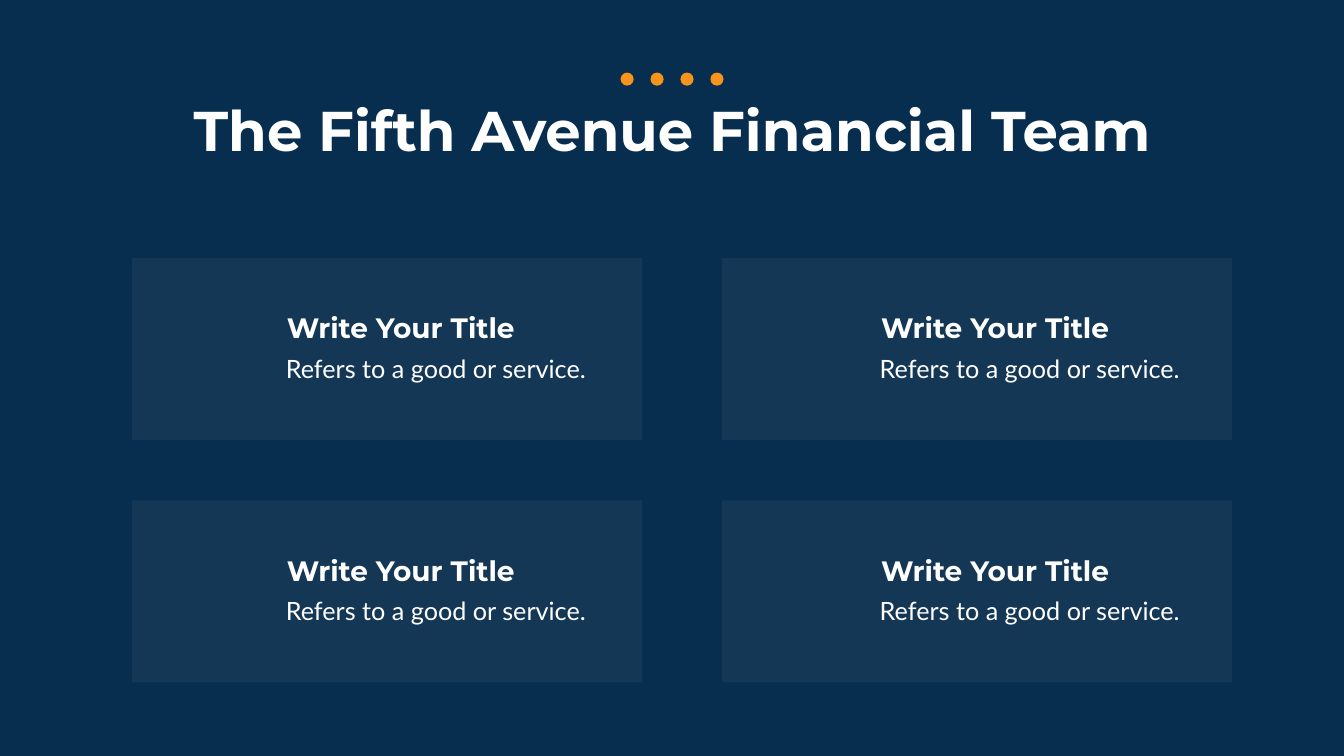
from dataclasses import dataclass
from itertools import product

from lxml import etree
from pptx import Presentation
from pptx.dml.color import RGBColor
from pptx.enum import shapes, text
from pptx.oxml import ns
from pptx.util import Inches, Pt

NAVY = RGBColor(0x07, 0x2E, 0x4F)
ORANGE = RGBColor(0xF8, 0x94, 0x1B)
GRAY = RGBColor(0x99, 0x99, 0x99)
WHITE = RGBColor(0xFF, 0xFF, 0xFF)

SLIDE_WIDTH, SLIDE_HEIGHT = 26.66, 15
CARD_WIDTH, CARD_HEIGHT = 10.12, 3.61
FIRST_ROW, ROW_STEP = 5.12, 4.81
DOT_SIZE, DOT_STEP = 0.26, 0.594


@dataclass(frozen=True)
class Column:
    card_left: float
    heading_left: float
    description_left: float


@dataclass(frozen=True)
class TextStyle:
    font: str
    size: int
    bold: bool = False
    inset_x: float = 0.1
    inset_y: float = 0.05


TITLE = TextStyle("Montserrat", 80, True)
HEADING = TextStyle("Montserrat", 40, True)
DESCRIPTION = TextStyle("Lato", 36, inset_x=0.24, inset_y=0.12)
COLUMNS = (Column(2.62, 5.59, 5.43), Column(14.32, 17.38, 17.21))


def add_block(slide, kind, left: float, top: float, width: float,
              height: float, color: RGBColor, opacity: int = 100):
    """Add a flat shape without outline; opacity is in percent."""
    shape = slide.shapes.add_shape(
        kind, Inches(left), Inches(top), Inches(width), Inches(height))
    shape.shadow.inherit = False
    shape.fill.solid()
    shape.fill.fore_color.rgb = color
    shape.line.fill.background()
    if opacity < 100:
        fill_color = shape.element.spPr.find(
            f"{ns.qn('a:solidFill')}/{ns.qn('a:srgbClr')}")
        etree.SubElement(fill_color, ns.qn("a:alpha"), val=str(opacity * 1000))
    return shape


def write_text(shape, words: str, style: TextStyle,
               alignment=text.PP_ALIGN.LEFT) -> None:
    frame = shape.text_frame
    frame.word_wrap = True
    frame.auto_size = text.MSO_AUTO_SIZE.SHAPE_TO_FIT_TEXT
    frame.vertical_anchor = text.MSO_ANCHOR.TOP
    frame.margin_left = frame.margin_right = Inches(style.inset_x)
    frame.margin_top = frame.margin_bottom = Inches(style.inset_y)
    paragraph = frame.paragraphs[0]
    paragraph.alignment = alignment
    run = paragraph.add_run()
    run.text = words
    run.font.name = style.font
    run.font.size = Pt(style.size)
    run.font.bold = style.bold
    run.font.color.rgb = WHITE


def add_text(slide, left: float, top: float, width: float, height: float,
             words: str, style: TextStyle) -> None:
    box = slide.shapes.add_textbox(
        Inches(left), Inches(top), Inches(width), Inches(height))
    write_text(box, words, style)


def add_card(slide, column: Column, top: float) -> None:
    add_block(slide, shapes.MSO_SHAPE.RECTANGLE, column.card_left, top,
              CARD_WIDTH, CARD_HEIGHT, GRAY, opacity=9)
    add_text(slide, column.description_left, top + 1.77, 6.76, 0.85,
             "Refers to a good or service.", DESCRIPTION)
    add_text(slide, column.heading_left, top + 1, 5.67, 0.77,
             "Write Your Title", HEADING)


def main() -> None:
    presentation = Presentation()
    presentation.slide_width = Inches(SLIDE_WIDTH)
    presentation.slide_height = Inches(SLIDE_HEIGHT)
    slide = presentation.slides.add_slide(presentation.slide_layouts[5])

    # Title
    title = slide.shapes.title
    title.left, title.top = Inches(3.07), Inches(1.84)
    title.width, title.height = Inches(20.53), Inches(1.45)
    write_text(title, "The Fifth Avenue Financial Team", TITLE,
               text.PP_ALIGN.CENTER)

    # Backdrop, moved behind the title
    backdrop = add_block(slide, shapes.MSO_SHAPE.RECTANGLE, 0, 0,
                         SLIDE_WIDTH, SLIDE_HEIGHT, NAVY)
    title.element.addprevious(backdrop.element)

    # Dots above the title
    for index in range(4):
        add_block(slide, shapes.MSO_SHAPE.OVAL, 12.31 + index * DOT_STEP,
                  1.44, DOT_SIZE, DOT_SIZE, ORANGE)

    # Team cards
    for column, row in product(COLUMNS, range(2)):
        add_card(slide, column, FIRST_ROW + row * ROW_STEP)

    presentation.save("out.pptx")


if __name__ == "__main__":
    main()
